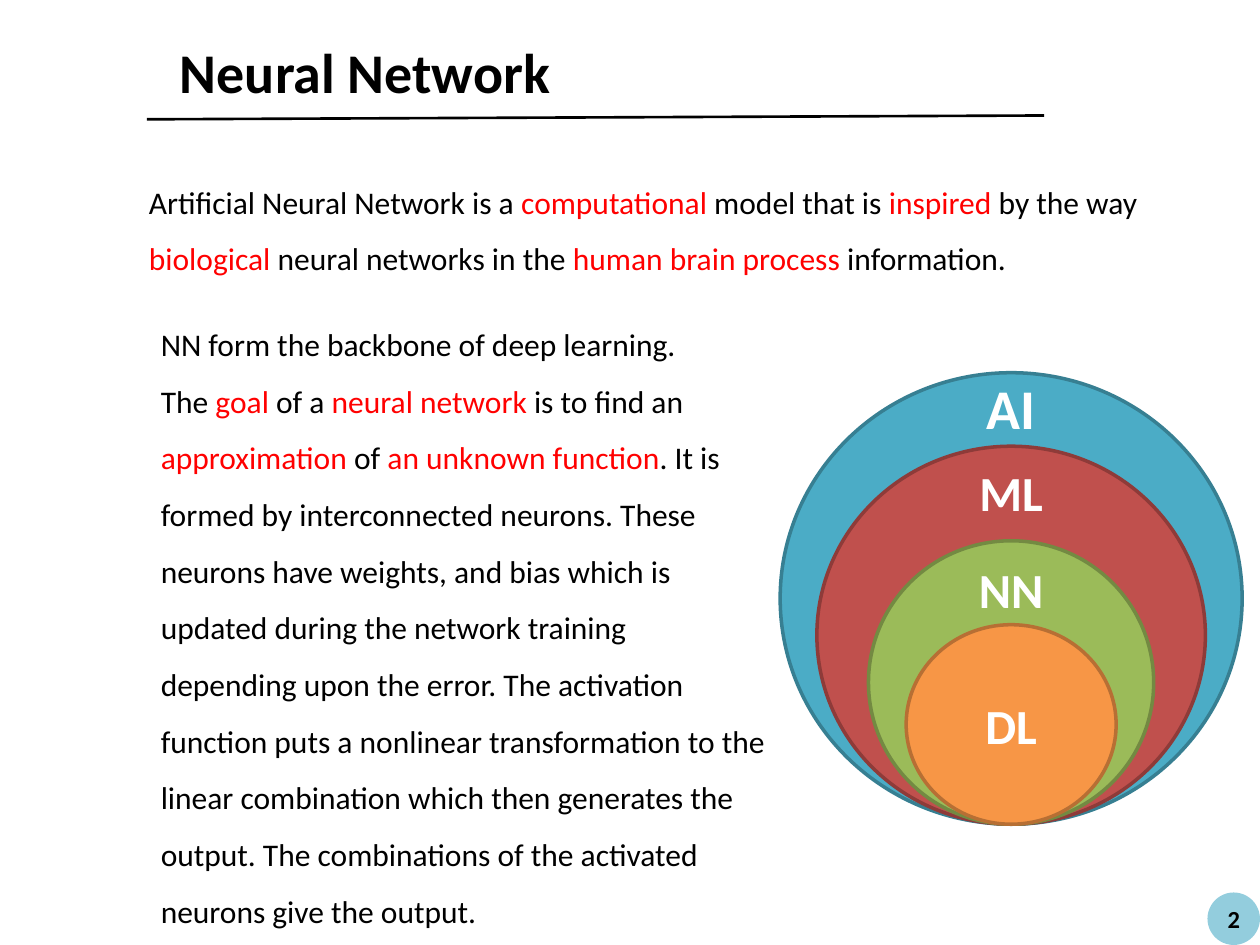
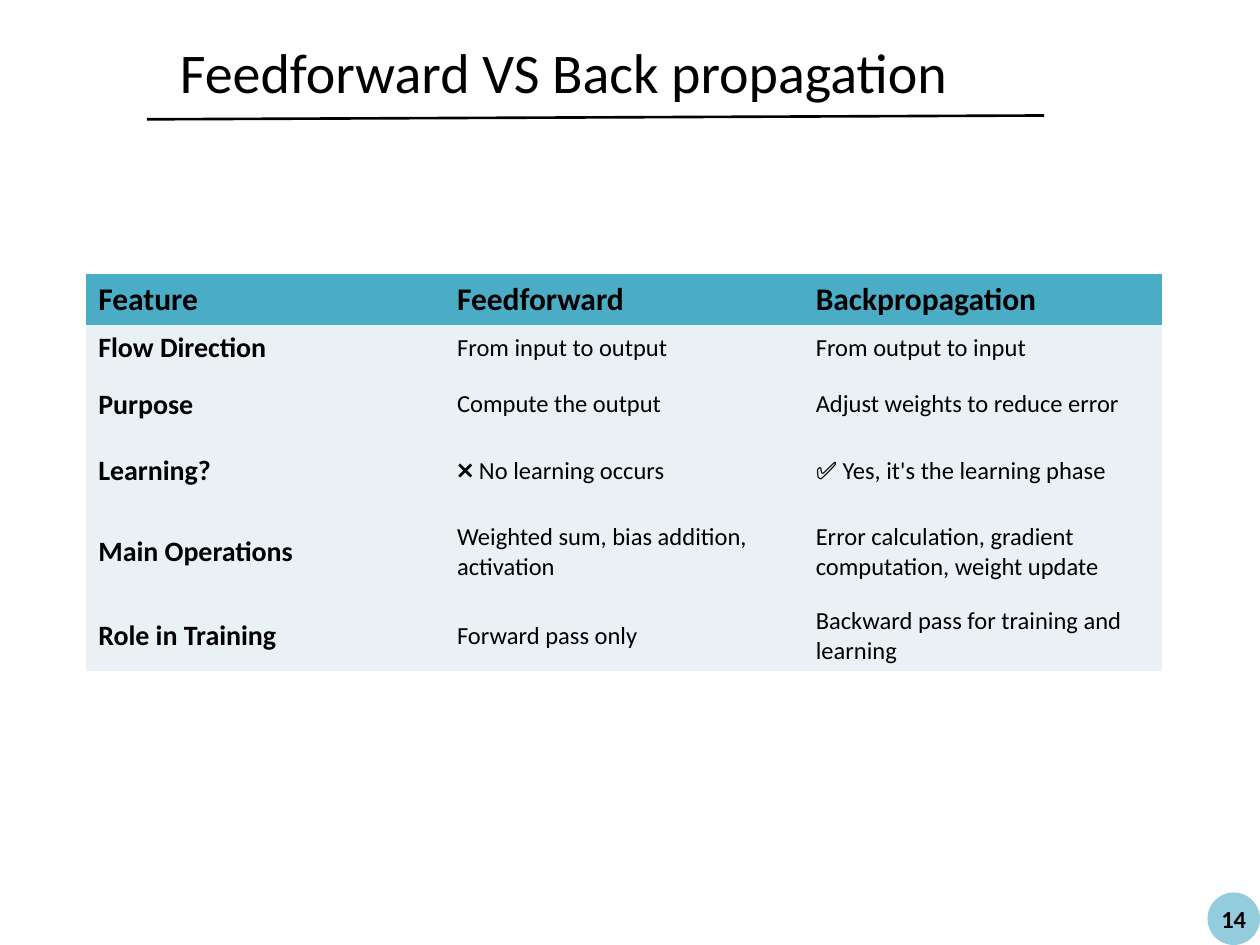
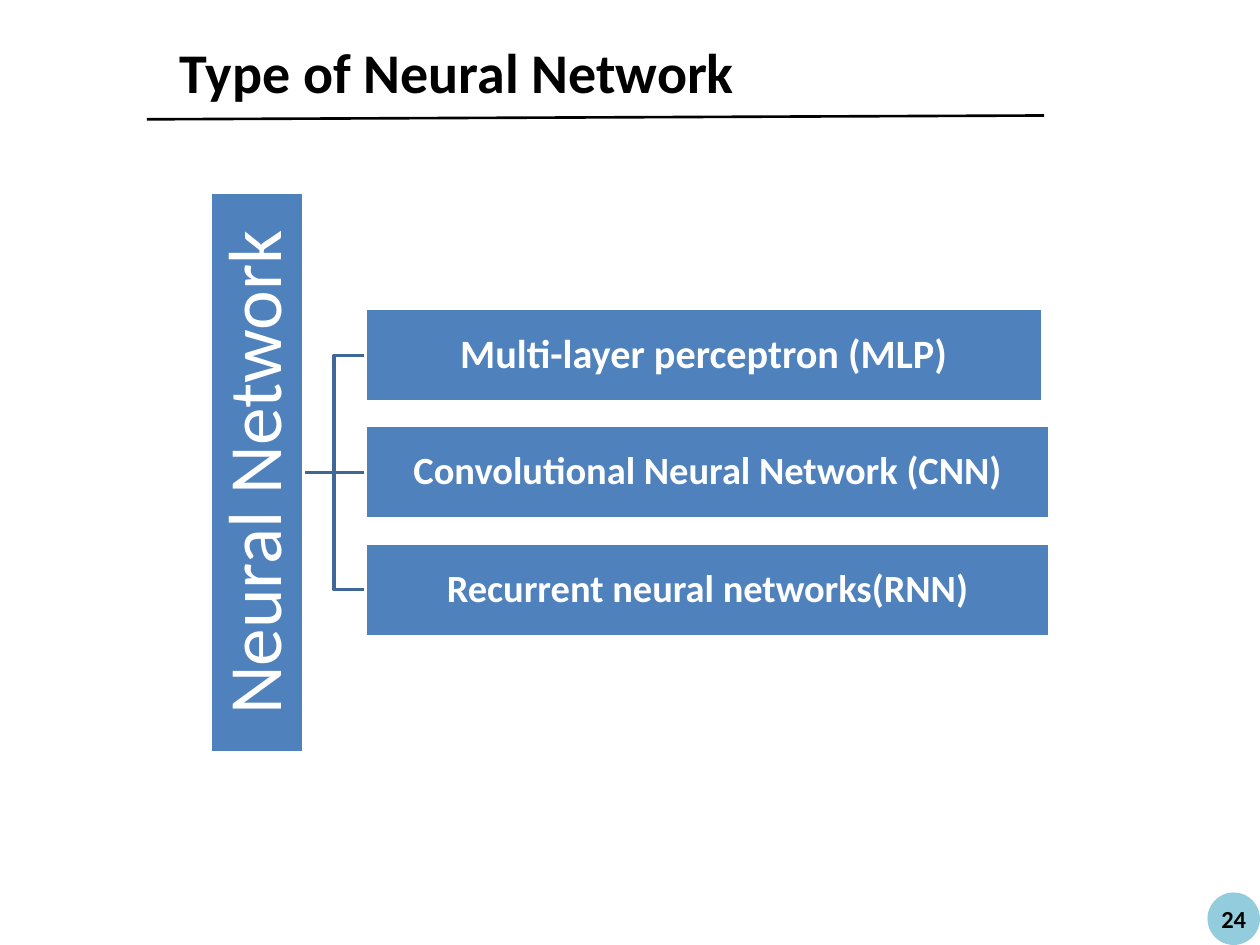
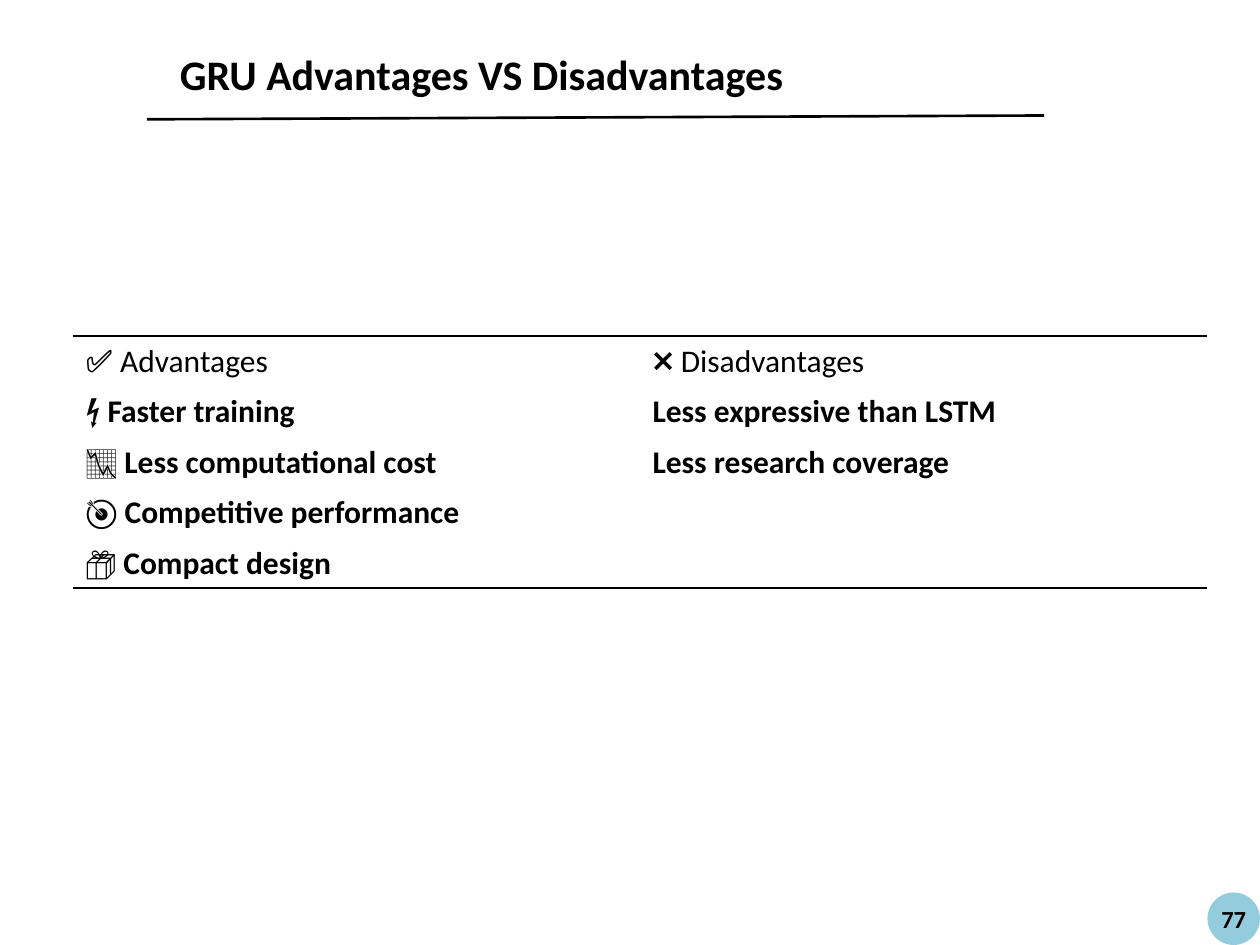
from pptx import Presentation
from pptx.dml.color import RGBColor
from pptx.enum.shapes import MSO_CONNECTOR, MSO_SHAPE
from pptx.enum.text import MSO_ANCHOR, MSO_AUTO_SIZE, PP_ALIGN
from pptx.oxml import parse_xml
from pptx.oxml.ns import nsdecls, qn
from pptx.util import Pt

LEFT, MID = PP_ALIGN.LEFT, PP_ALIGN.CENTER
TOP, CENTER = MSO_ANCHOR.TOP, MSO_ANCHOR.MIDDLE
GROW = MSO_AUTO_SIZE.SHAPE_TO_FIT_TEXT
OVAL, RECT = MSO_SHAPE.OVAL, MSO_SHAPE.RECTANGLE
STRAIGHT = MSO_CONNECTOR.STRAIGHT

FONT = "Calibri"
PLAIN = "{2D5ABB26-0587-4C30-8999-92F81FD0307C}"
COLORS = {
    "black": "000000", "white": "FFFFFF", "red": "FF0000",
    "badge": "93CDDD", "head": "4BACC6", "body": "E9F1F5",
    "box": "4F81BD", "link": "3F6797",
    "teal": "4BACC6", "teal rim": "377F92",
    "brick": "C0504D", "brick rim": "8E3B39",
    "green": "9BBB59", "green rim": "738A42",
    "amber": "F79646", "amber rim": "B76F34",
}

INTRO = ["Artificial Neural Network is a *computational* model that is *inspired* by the way "
         "*biological* neural networks in the *human brain process *information."]
GOAL = [
    "NN form the backbone of deep learning.",
    "The *goal* of a *neural network *is to find an *approximation* of "
    "*an unknown function*. It is formed by interconnected neurons. These neurons have "
    "weights, and bias which is updated during the network training depending upon the "
    "error. The activation function puts a nonlinear transformation to the linear "
    "combination which then generates the output. The combinations of the activated "
    "neurons give the output.",
]
RINGS = [
    ("teal", 264, 258), ("brick", 222, 216),
    ("green", 163, 162), ("amber", 120, 114),
]
TAGS = [
    ("AI", 32, 210, 46, 46), ("ML", 28, 261, 54, 41),
    ("NN", 28, 316, 54, 41), ("DL", 28, 394, 48, 41),
]
PASSES = [
    ("Feature", "Feedforward", "Backpropagation"),
    ("Flow Direction", "From input to output", "From output to input"),
    ("Purpose", "Compute the output", "Adjust weights to reduce error"),
    ("Learning?", "❌ No learning occurs", "✅ Yes, it's the learning phase"),
    ("Main Operations", "Weighted sum, bias addition, activation",
     "Error calculation, gradient computation, weight update"),
    ("Role in Training", "Forward pass only", "Backward pass for training and learning"),
]
TYPES = [
    ("Multi-layer perceptron (MLP)", 23, 387),
    ("Convolutional Neural Network (CNN)", 22, 391),
    ("Recurrent neural networks(RNN)", 22, 391),
]
TRAITS = [
    ("✅ Advantages", "❌ Disadvantages"),
    ("⚡ *Faster training*", "*Less expressive than LSTM*"),
    ("📉 *Less computational cost*", "*Less research coverage*"),
    ("🎯 *Competitive performance*", ""),
    ("📦 *Compact design*", ""),
]


def rgb(name):
    return RGBColor.from_string(COLORS[name])


def write(frame, lines, size, color="black", bold=False, align=LEFT, space=None, mark=None):
    base = {"color": color, "bold": bold}
    hot = base | (mark or {})
    for i, line in enumerate(lines):
        para = frame.paragraphs[0] if i == 0 else frame.add_paragraph()
        para.alignment = align
        if space:
            para.line_spacing = space
        for j, part in enumerate(line.split("*")):
            if part:
                look = hot if j % 2 else base
                run = para.add_run()
                run.text = part
                run.font.name = FONT
                run.font.size = Pt(size)
                run.font.bold = look["bold"]
                run.font.color.rgb = rgb(look["color"])


def place(shape, x, y, w, h):
    shape.left, shape.top, shape.width, shape.height = Pt(x), Pt(y), Pt(w), Pt(h)


def label(slide, spot, lines, size, wrap=True, **look):
    frame = slide.shapes.add_textbox(*map(Pt, spot)).text_frame
    frame.word_wrap = wrap
    frame.auto_size = GROW
    write(frame, lines, size, **look)


def block(slide, kind, spot, fill, rim=None):
    shape = slide.shapes.add_shape(kind, *map(Pt, spot))
    shape.shadow.inherit = False
    shape.fill.solid()
    shape.fill.fore_color.rgb = rgb(fill)
    if rim:
        shape.line.color.rgb = rgb(rim)
        shape.line.width = Pt(2)
    else:
        shape.line.fill.background()
    return shape


def rule(slide, ends, color, width):
    line = slide.shapes.add_connector(STRAIGHT, *map(Pt, ends))
    line.line.color.rgb = rgb(color)
    line.line.width = Pt(width)
    line.element.spPr.append(parse_xml(f"<a:effectLst {nsdecls('a')}/>"))


def start(deck, title, page, width, size=32, bold=True, top=18, high=46):
    slide = deck.slides.add_slide(deck.slide_layouts[5])
    head = slide.shapes.title
    place(head, 95.6, top, width, high)
    frame = head.text_frame
    frame.word_wrap = False
    frame.auto_size = GROW
    frame.vertical_anchor = TOP
    write(frame, [title], size, bold=bold)
    block(slide, OVAL, (690, 510, 30, 30), "badge")
    label(slide, (690, 512.8, 30, 24.5), [str(page)], 14, bold=True, align=MID)
    rule(slide, (84, 68.2, 596.6, 66), "black", 1.5)
    return slide


def grid(slide, spot, rows, highs):
    frame = slide.shapes.add_table(len(rows), len(rows[0]), *map(Pt, spot))
    next(frame.element.iter(qn("a:tableStyleId"))).text = PLAIN
    table = frame.table
    table.first_row = table.horz_banding = False
    for row, high in zip(table.rows, highs):
        row.height = Pt(high)
    for r, row in enumerate(rows):
        for c, text in enumerate(row):
            cell = table.cell(r, c)
            cell.vertical_anchor = CENTER
            yield r, c, cell, text


def edge(cell, side):
    cell.fill.background()
    cell._tc.get_or_add_tcPr().insert(0, parse_xml(
        f'<a:ln{side} {nsdecls("a")} w="{Pt(1)}"><a:solidFill>'
        f'<a:srgbClr val="{COLORS["black"]}"/></a:solidFill></a:ln{side}>'))


def intro(deck):
    slide = start(deck, "Neural Network", 2, 228)
    mid, base = 577.8, 471
    for name, w, h in RINGS:
        block(slide, OVAL, (mid - w / 2, base - h, w, h), name, name + " rim")
    for text, size, y, w, h in TAGS:
        label(slide, (mid - w / 2, y, w, h), [text], size, wrap=False,
              color="white", bold=True, align=MID)
    for spot, lines in (((78, 90, 588, 69), INTRO), ((84.8, 171.3, 360, 367), GOAL)):
        label(slide, spot, lines, 18, space=1.5, mark={"color": "red"})


def passes(deck):
    slide = start(deck, "Feedforward VS Back propagation", 14, 463, bold=False)
    highs = (29, 26.5, 38, 38, 54.7, 40)
    for r, c, cell, text in grid(slide, (49, 156.7, 615, sum(highs)), PASSES, highs):
        cell.fill.solid()
        cell.fill.fore_color.rgb = rgb("body" if r else "head")
        size = 18 if r == 0 else 14 if c else 16
        write(cell.text_frame, [text], size, bold=r == 0 or c == 0)


def types(deck):
    slide = start(deck, "Type of Neural Network", 24, 335)
    root, bend, left, mid = 173.5, 191, 208.8, 270
    high, step, long = 53.5, 66.9, 320
    for y in (mid + step, mid - step):
        path = slide.shapes.build_freeform(Pt(root), Pt(mid))
        path.add_line_segments([(Pt(bend), Pt(mid)), (Pt(bend), Pt(y)), (Pt(left), Pt(y))],
                               close=False)
        fork = path.convert_to_shape()
        fork.shadow.inherit = False
        fork.fill.background()
        fork.line.color.rgb = rgb("link")
        fork.line.width = Pt(2)
    rule(slide, (root, mid, left, mid), "link", 2)
    stem = (root - high / 2 - long / 2, mid - high / 2, long, high)
    boxes = [("Neural Network", 43, stem, 270, False)]
    for i, (text, size, w) in enumerate(TYPES):
        spot = (left, mid + (i - 1) * step - high / 2, w, high)
        boxes.append((text, size, spot, 0, True))
    for text, size, spot, turn, bold in boxes:
        box = block(slide, RECT, spot, "box", "white")
        box.rotation = turn
        frame = box.text_frame
        frame.word_wrap = True
        frame.vertical_anchor = CENTER
        frame.margin_left = frame.margin_right = Pt(2)
        frame.margin_top = frame.margin_bottom = Pt(2)
        write(frame, [text], size, color="white", bold=bold, align=MID, space=0.9)


def traits(deck):
    slide = start(deck, "GRU Advantages VS Disadvantages", 77, 364, size=24, top=24, high=36)
    count = len(TRAITS)
    for r, c, cell, text in grid(slide, (41.7, 192, 648, 144), TRAITS, [28.8] * count):
        write(cell.text_frame, [text], 18, mark={"bold": True})
        if r == 0:
            edge(cell, "T")
        elif r == count - 1:
            edge(cell, "B")


def main():
    deck = Presentation()
    deck.slide_width, deck.slide_height = Pt(720), Pt(540)
    for build in (intro, passes, types, traits):
        build(deck)
    deck.save("out.pptx")


if __name__ == "__main__":
    main()
